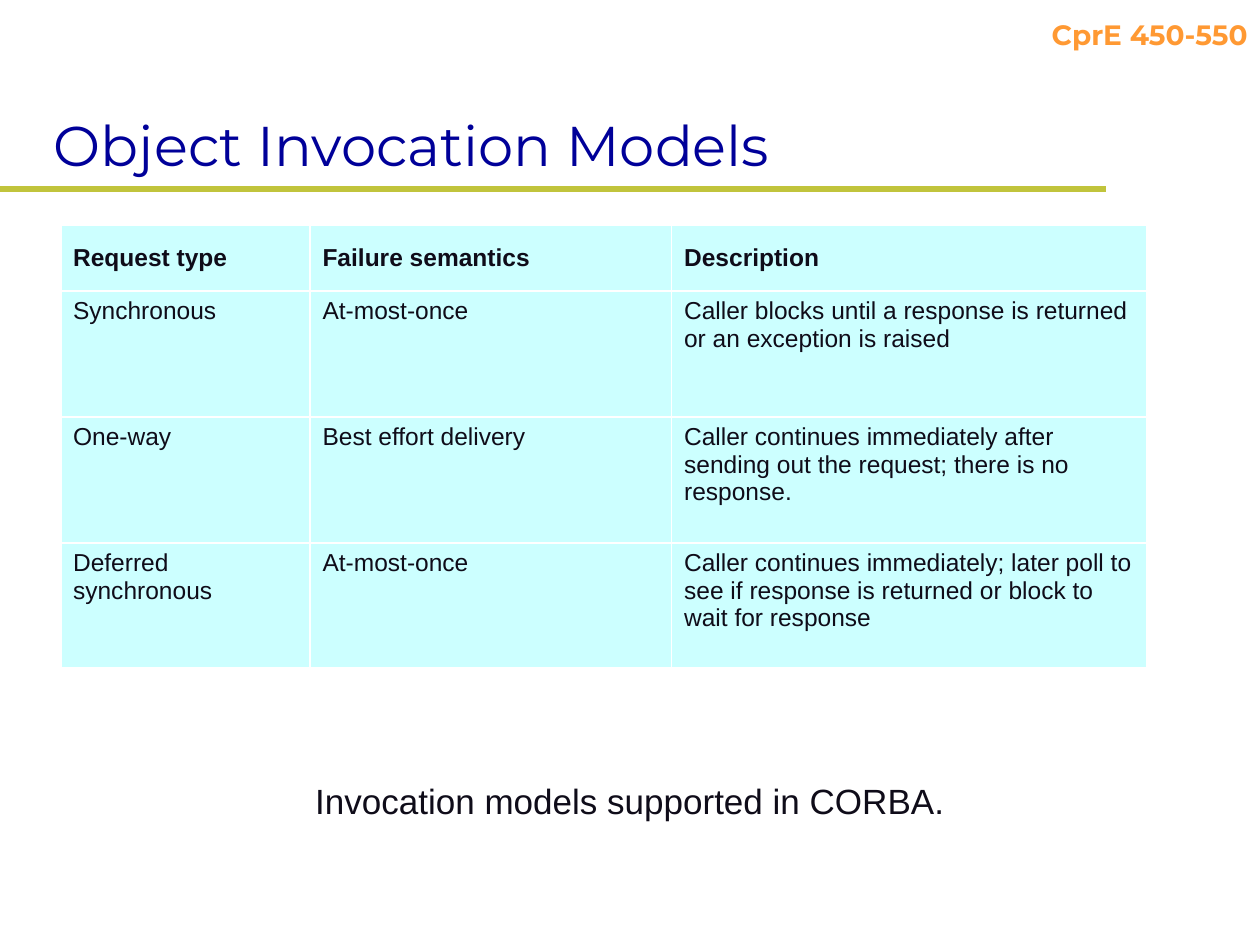
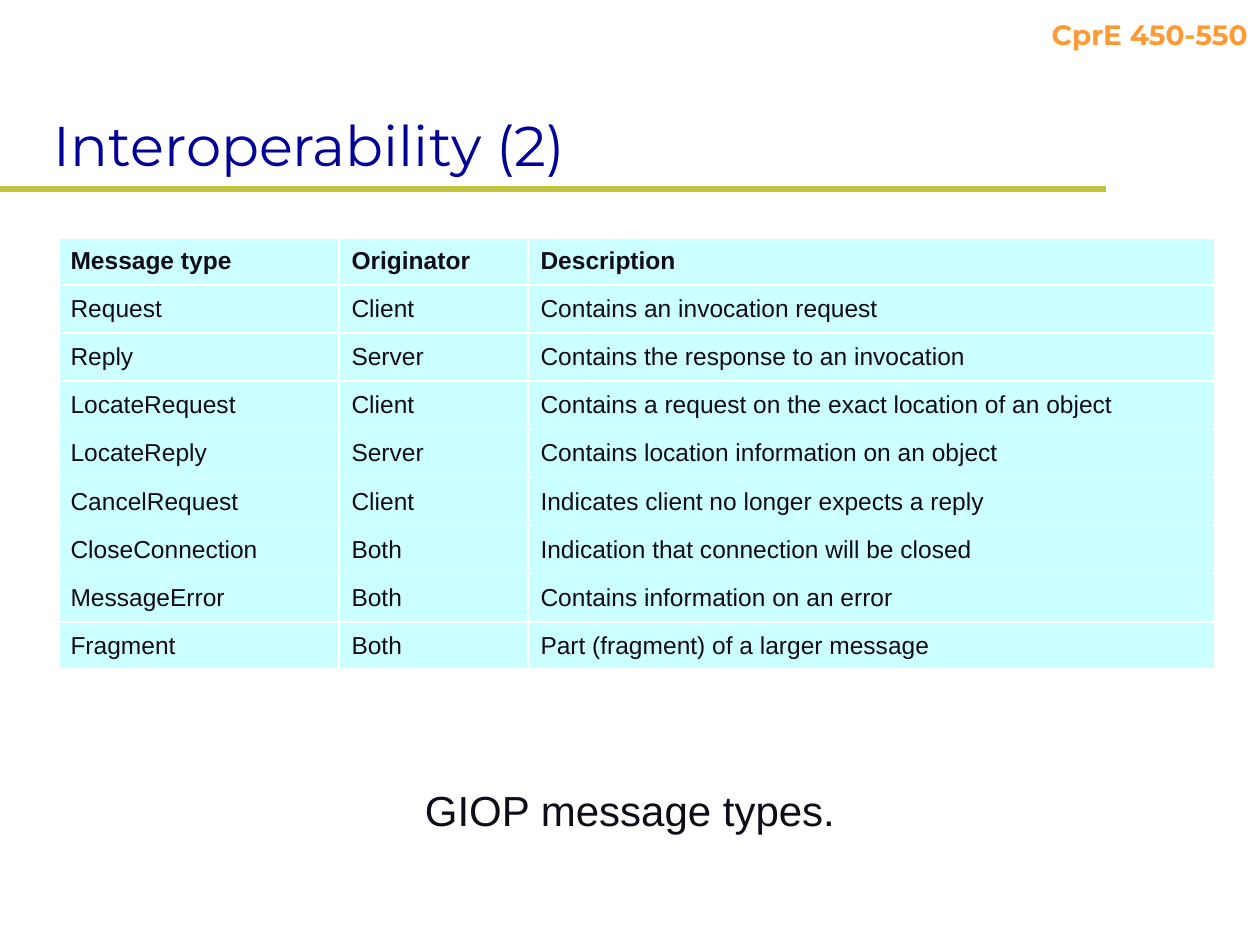
from dataclasses import dataclass

from lxml import etree
from pptx import Presentation
from pptx.dml.color import RGBColor
from pptx.enum.shapes import MSO_CONNECTOR
from pptx.enum.text import MSO_ANCHOR, PP_ALIGN
from pptx.oxml.ns import qn
from pptx.util import Inches, Pt

LEFT, CENTER, RIGHT = PP_ALIGN.LEFT, PP_ALIGN.CENTER, PP_ALIGN.RIGHT
TOP, MIDDLE, BOTTOM = MSO_ANCHOR.TOP, MSO_ANCHOR.MIDDLE, MSO_ANCHOR.BOTTOM
STRAIGHT = MSO_CONNECTOR.STRAIGHT


@dataclass(frozen=True)
class Theme:
    ink: str = "0F0C19"
    navy: str = "000099"
    orange: str = "FF9933"
    olive: str = "C1C43C"
    aqua: str = "CCFFFF"
    white: str = "FFFFFF"
    head: str = "Montserrat"
    body: str = "Arial"
    title: int = 32
    course: int = 16
    cell: int = 14
    rule: int = 4
    outer: float = 2.25
    inner: float = 1


def write(frame, text, font, size, color, bold=False, align=LEFT, anchor=TOP):
    frame.word_wrap = True
    frame.vertical_anchor = anchor
    para = frame.paragraphs[0]
    para.alignment = align
    run = para.add_run()
    run.text = text
    run.font.name = font
    run.font.size = Pt(size)
    run.font.bold = bold
    run.font.color.rgb = RGBColor.from_string(color)


def edge(cell, side, width, color):
    """Draw one border of a cell; side is L, R, T or B."""
    line = etree.SubElement(cell._tc.get_or_add_tcPr(), qn(f"a:ln{side}"),
                            w=str(Pt(width)))
    fill = etree.SubElement(line, qn("a:solidFill"))
    etree.SubElement(fill, qn("a:srgbClr"), val=color)


class Deck:
    def __init__(self, theme):
        self.theme = theme
        self.prs = Presentation()
        self.prs.slide_width = Inches(10)
        self.prs.slide_height = Inches(7.5)
        self.slide = None

    def page(self, title):
        """Start a slide with the shared rule, course name and title."""
        look = self.theme
        self.slide = self.prs.slides.add_slide(self.prs.slide_layouts[6])
        self.line(0, 1.5, 8.78, 1.5)
        self.text("CprE 450-550", 5.33, 0.09, 4.67, 0.37, font=look.head,
                  size=look.course, color=look.orange, bold=True, align=RIGHT)
        self.text(title, 0.33, 0.25, 9.67, 1.21, font=look.head,
                  size=look.title, color=look.navy, anchor=BOTTOM)

    def line(self, x1, y1, x2, y2):
        rule = self.slide.shapes.add_connector(
            STRAIGHT, Inches(x1), Inches(y1), Inches(x2), Inches(y2))
        rule.line.color.rgb = RGBColor.from_string(self.theme.olive)
        rule.line.width = Pt(self.theme.rule)
        etree.SubElement(rule._element.spPr, qn("a:effectLst"))

    def text(self, text, x, y, w, h, **style):
        box = self.slide.shapes.add_textbox(
            Inches(x), Inches(y), Inches(w), Inches(h))
        write(box.text_frame, text, **style)

    def caption(self, text, y, size):
        self.text(text, 0, y, 10, 0.92, font=self.theme.body, size=size,
                  color=self.theme.ink, align=CENTER)

    def table(self, data, x, y, cols, rows, anchor):
        """Fill a grid whose first row is the bold heading."""
        grid = self.slide.shapes.add_table(
            len(rows), len(cols), Inches(x), Inches(y),
            Inches(sum(cols)), Inches(sum(rows))).table
        grid.first_row = grid.horz_banding = False
        for col, width in zip(grid.columns, cols):
            col.width = Inches(width)
        for row, height in zip(grid.rows, rows):
            row.height = Inches(height)
        for r, words in enumerate(data):
            for c, word in enumerate(words):
                self.cell(grid.cell(r, c), word, r == 0,
                          MIDDLE if r == 0 else anchor,
                          {"L": c == 0, "R": c == len(cols) - 1,
                           "T": r == 0, "B": r == len(rows) - 1})

    def cell(self, cell, word, bold, anchor, rim):
        look = self.theme
        for side, outer in rim.items():
            edge(cell, side, look.outer if outer else look.inner, look.white)
        cell.fill.solid()
        cell.fill.fore_color.rgb = RGBColor.from_string(look.aqua)
        write(cell.text_frame, word, look.body, look.cell, look.ink, bold)
        cell.vertical_anchor = anchor


MODELS = [
    ("Request type", "Failure semantics", "Description"),
    ("Synchronous", "At-most-once",
     "Caller blocks until a response is returned or an exception is raised"),
    ("One-way", "Best effort delivery",
     "Caller continues immediately after sending out the request; "
     "there is no response."),
    ("Deferred synchronous", "At-most-once",
     "Caller continues immediately; later poll to see if response is "
     "returned or block to wait for response"),
]

MESSAGES = [
    ("Message type", "Originator", "Description"),
    ("Request", "Client", "Contains an invocation request"),
    ("Reply", "Server", "Contains the response to an invocation"),
    ("LocateRequest", "Client",
     "Contains a request on the exact location of an object"),
    ("LocateReply", "Server", "Contains location information on an object"),
    ("CancelRequest", "Client", "Indicates client no longer expects a reply"),
    ("CloseConnection", "Both", "Indication that connection will be closed"),
    ("MessageError", "Both", "Contains information on an error"),
    ("Fragment", "Both", "Part (fragment) of a larger message"),
]


def main():
    deck = Deck(Theme())

    deck.page("Object Invocation Models")
    deck.caption("Invocation models supported in CORBA.", 6.14, 20)
    deck.table(MODELS, 0.48, 1.78, [1.98, 2.87, 3.78], [0.53, 1, 1, 1], TOP)

    deck.page("Interoperability (2)")
    deck.caption("GIOP message types.", 6.18, 24)
    count = len(MESSAGES)
    deck.table(MESSAGES, 0.46, 1.88, [2.23, 1.5, 5.46],
               [3.44 / count] * count, MIDDLE)

    deck.prs.save("out.pptx")


if __name__ == "__main__":
    main()
